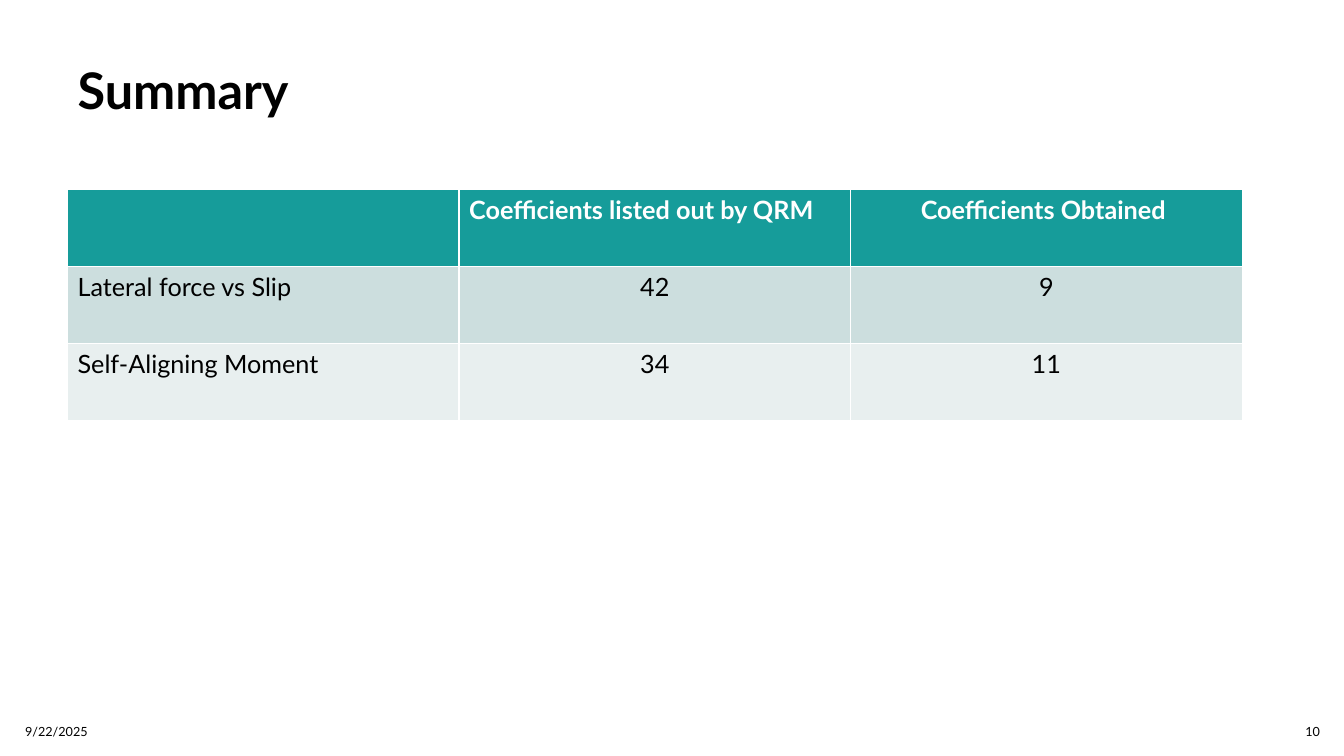
from pptx import Presentation
from pptx.dml.color import RGBColor
from pptx.enum.text import MSO_ANCHOR, MSO_AUTO_SIZE, PP_ALIGN
from pptx.util import Inches, Pt

FONT = "Lato"
BLACK = RGBColor(0x00, 0x00, 0x00)
WHITE = RGBColor(0xFF, 0xFF, 0xFF)
TEAL = RGBColor(0x16, 0x9C, 0x9A)
ROW_FILLS = [TEAL, RGBColor(0xCC, 0xDE, 0xDE), RGBColor(0xE8, 0xEF, 0xEF)]

LEFT, WIDTH = Inches(0.67), Inches(11.65)
TABLE_TOP, ROW_HEIGHT = Inches(1.88), Inches(0.765)
FOOTER_TOP, FOOTER_HEIGHT = Inches(7.06), Inches(0.4)

ROWS = [
    ["", "Coefficients listed out by QRM", "Coefficients Obtained "],
    ["Lateral force vs Slip", "42", "9"],
    ["Self-Aligning Moment", "34", "11"],
]
FOOTERS = [
    ("9/22/2025", 0.15, 3.82, PP_ALIGN.LEFT),
    ("10", 12.72, 0.47, PP_ALIGN.RIGHT),
]


def style_paragraph(paragraph, size, color=BLACK, bold=False, align=PP_ALIGN.LEFT):
    paragraph.alignment = align
    font = paragraph.font
    font.name, font.size, font.bold = FONT, Pt(size), bold
    font.color.rgb = color


presentation = Presentation()
presentation.slide_width = Inches(13.33)
presentation.slide_height = Inches(7.5)
slide = presentation.slides.add_slide(presentation.slide_layouts[5])

# Title
title = slide.shapes.title
title.left, title.top, title.width, title.height = LEFT, Inches(0.6), WIDTH, Inches(1.24)
title_frame = title.text_frame
title_frame.text = "Summary"
title_frame.vertical_anchor = MSO_ANCHOR.TOP
title_frame.auto_size = MSO_AUTO_SIZE.NONE
title_frame.paragraphs[0].line_spacing = 0.9
style_paragraph(title_frame.paragraphs[0], 36, bold=True)

# Coefficient table
table = slide.shapes.add_table(
    len(ROWS), len(ROWS[0]), LEFT, TABLE_TOP, WIDTH, ROW_HEIGHT * len(ROWS)
).table
for row_index, (texts, fill_color) in enumerate(zip(ROWS, ROW_FILLS)):
    is_header = row_index == 0
    for column_index, text in enumerate(texts):
        cell = table.cell(row_index, column_index)
        cell.text = text
        cell.fill.solid()
        cell.fill.fore_color.rgb = fill_color
        left_aligned = column_index == 0 or (is_header and column_index == 1)
        style_paragraph(
            cell.text_frame.paragraphs[0], 18,
            color=WHITE if is_header else BLACK,
            bold=is_header,
            align=PP_ALIGN.LEFT if left_aligned else PP_ALIGN.CENTER,
        )

# Date and slide number
for text, left, width, align in FOOTERS:
    footer = slide.shapes.add_textbox(Inches(left), FOOTER_TOP, Inches(width), FOOTER_HEIGHT)
    footer_frame = footer.text_frame
    footer_frame.word_wrap = True
    footer_frame.vertical_anchor = MSO_ANCHOR.MIDDLE
    footer_frame.text = text
    style_paragraph(footer_frame.paragraphs[0], 9, align=align)

presentation.save("out.pptx")
